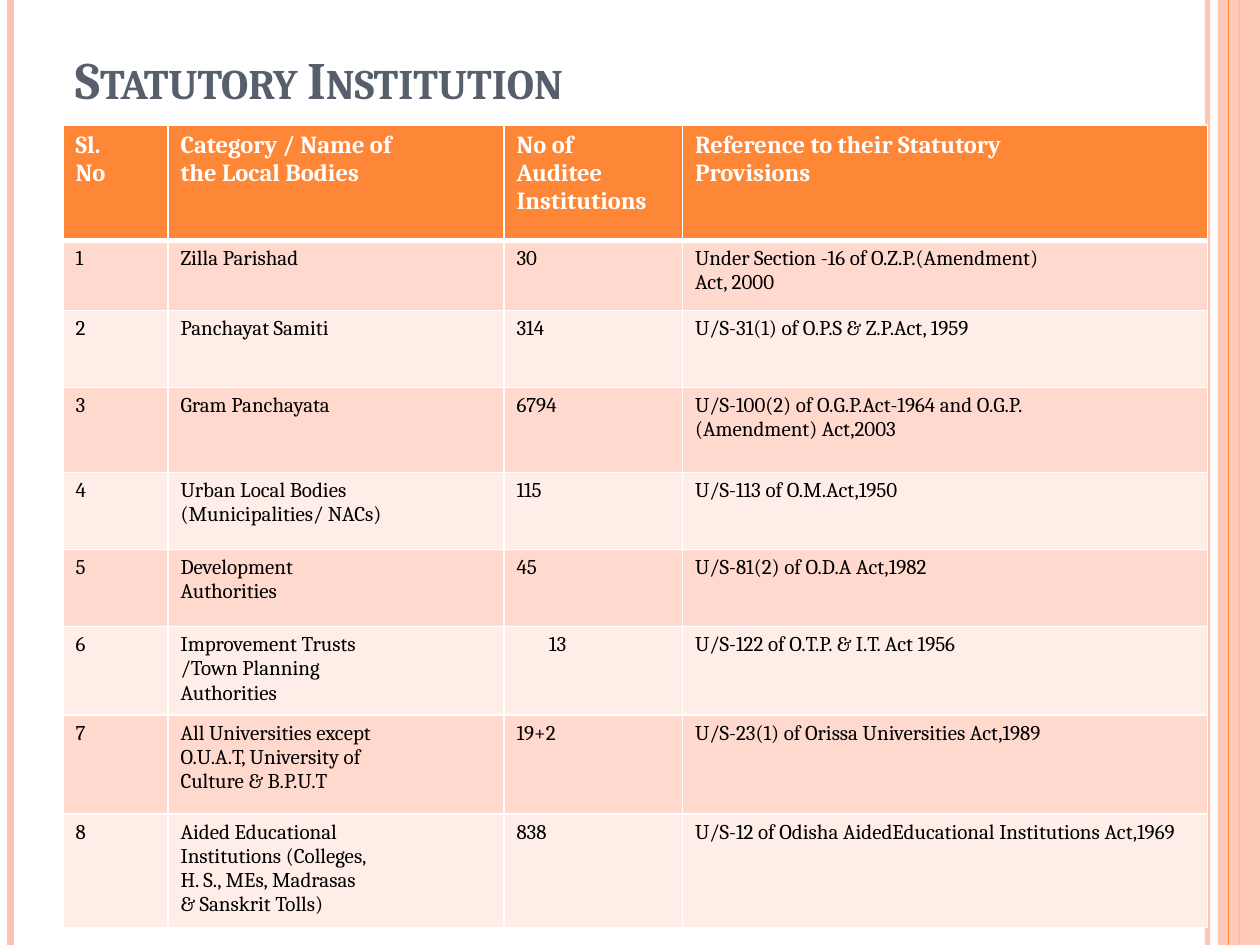
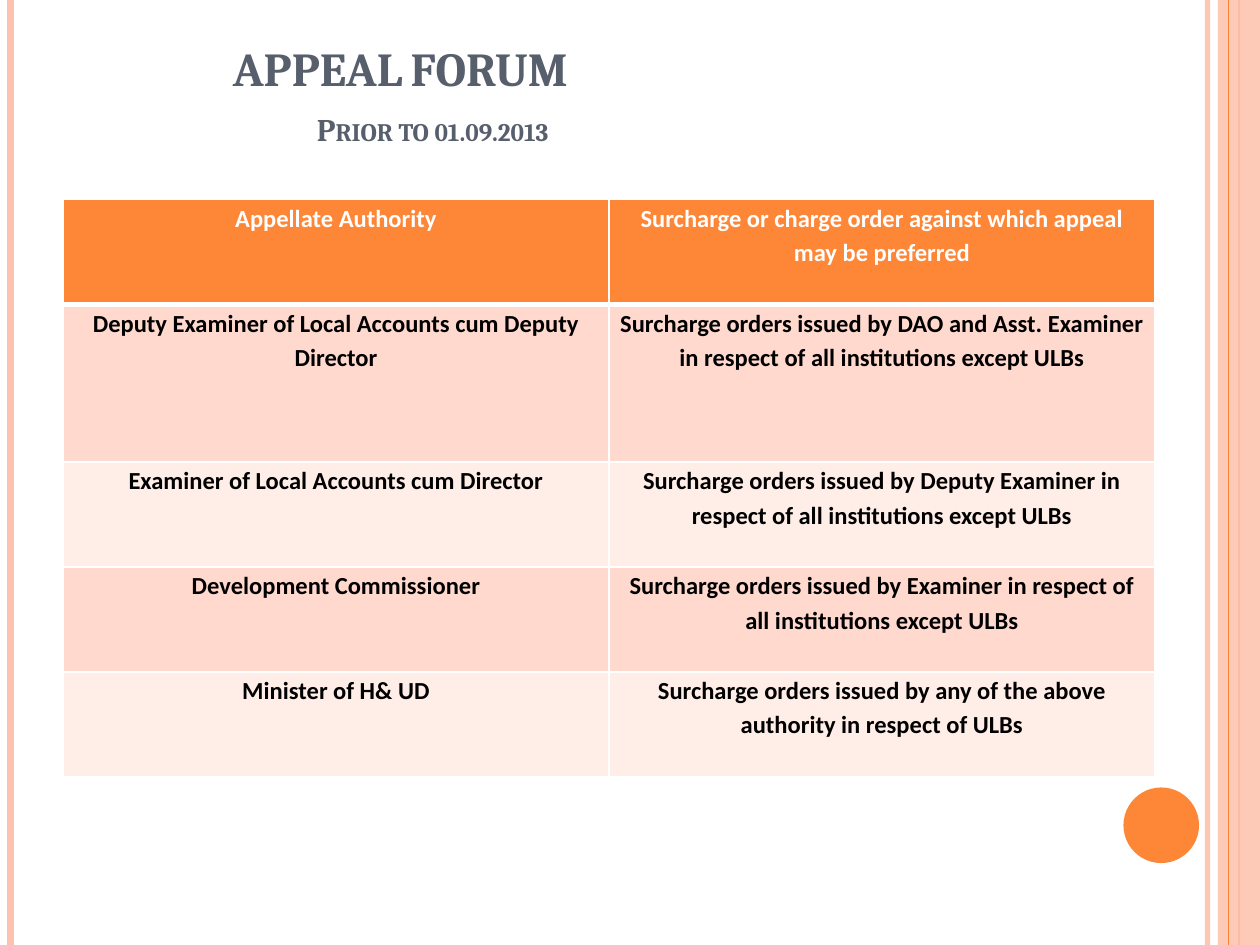
from dataclasses import dataclass

from lxml.etree import SubElement
from pptx import Presentation
from pptx.dml.color import RGBColor
from pptx.enum.shapes import MSO_CONNECTOR, MSO_SHAPE
from pptx.enum.text import MSO_ANCHOR, PP_ALIGN
from pptx.oxml import parse_xml
from pptx.oxml.ns import nsdecls, qn
from pptx.slide import Slide
from pptx.table import _Cell
from pptx.text.text import _Paragraph
from pptx.util import Pt

ORANGE = RGBColor(0xFE, 0x86, 0x37)
PEACH = RGBColor(0xFE, 0xC3, 0xAE)
BAND_DARK = RGBColor(0xFF, 0xD9, 0xCE)
BAND_LIGHT = RGBColor(0xFF, 0xED, 0xE8)
SLATE = RGBColor(0x57, 0x5F, 0x6D)
WHITE = RGBColor(0xFF, 0xFF, 0xFF)
BLACK = RGBColor(0x00, 0x00, 0x00)
SLIDE_WIDTH, SLIDE_HEIGHT = 720, 540
LEFT_MARGIN = 36
SERIF, SANS = "Cambria", "Calibri"


@dataclass(frozen=True)
class Rule:
    x: float
    width: float
    color: RGBColor
    opacity: int = 100


@dataclass(frozen=True)
class TitleLine:
    text: str
    size: float
    indent: float = 0
    space_before: float = 0


@dataclass(frozen=True)
class TableStyle:
    font: str
    header_size: float
    body_size: float
    body_bold: bool
    alignment: PP_ALIGN
    line_spacing: float
    side_inset: float
    top_inset: float


RULES_BEHIND_BAND = [
    Rule(690, 3, PEACH, 93),
    Rule(6, 4.5, PEACH),
    Rule(708, 1.5, ORANGE),
]
RULE_OVER_BAND = Rule(702, 0.75, ORANGE)

INSTITUTION_STYLE = TableStyle(SERIF, 14, 12, False, PP_ALIGN.LEFT, 1, 7.2, 3.6)
APPEAL_STYLE = TableStyle(SANS, 14, 14, True, PP_ALIGN.CENTER, 1.15, 5, 0)

INSTITUTION_COLUMNS = [60, 192, 102, 300]
INSTITUTION_HEIGHTS = [66, 40, 44, 48.6, 44, 44, 48.6, 56.8, 64]
INSTITUTION_ROWS = [
    ("Sl.\nNo", "Category / Name of\nthe Local Bodies", "No of\nAuditee\nInstitutions",
     "Reference to their Statutory\nProvisions"),
    ("1", "Zilla Parishad", "30", "Under Section -16 of O.Z.P.(Amendment)\nAct, 2000"),
    ("2", "Panchayat Samiti", "314", "U/S-31(1) of O.P.S & Z.P.Act, 1959"),
    ("3", "Gram Panchayata", "6794",
     "U/S-100(2) of O.G.P.Act-1964 and O.G.P.\n(Amendment) Act,2003"),
    ("4", "Urban Local Bodies\n(Municipalities/ NACs)", "115", "U/S-113 of O.M.Act,1950"),
    ("5", "Development\nAuthorities", "45", "U/S-81(2) of O.D.A Act,1982"),
    ("6", "Improvement Trusts\n/Town Planning\nAuthorities", "13",
     "U/S-122 of O.T.P. & I.T. Act 1956"),
    ("7", "All Universities except\nO.U.A.T, University of\nCulture & B.P.U.T", "19+2",
     "U/S-23(1) of Orissa Universities Act,1989"),
    ("8", "Aided Educational\nInstitutions (Colleges,\nH. S., MEs, Madrasas\n& Sanskrit Tolls)",
     "838", "U/S-12 of Odisha AidedEducational Institutions Act,1969"),
]

APPEAL_COLUMNS = [312, 312]
APPEAL_HEIGHTS = [60, 90, 60, 60, 60]
APPEAL_ROWS = [
    ("Appellate Authority", "Surcharge or charge order against which appeal may be preferred"),
    ("Deputy Examiner of Local Accounts cum Deputy Director",
     "Surcharge orders issued by DAO and Asst. Examiner in respect of all institutions except ULBs"),
    ("Examiner of Local Accounts cum Director",
     "Surcharge orders issued by Deputy Examiner in respect of all institutions except ULBs"),
    ("Development Commissioner",
     "Surcharge orders issued by Examiner in respect of all institutions except ULBs"),
    ("Minister of H& UD",
     "Surcharge orders issued by any of the above authority in respect of ULBs"),
]


def set_opacity(properties, percent: int) -> None:
    color = next(properties.iter(qn("a:srgbClr")))
    SubElement(color, qn("a:alpha"), val=str(percent * 1000))


def set_indent(paragraph: _Paragraph, indent: float) -> None:
    properties = paragraph._p.get_or_add_pPr()
    properties.set("marL", str(Pt(indent)))
    properties.set("indent", "0")


def add_run(paragraph: _Paragraph, text: str, font: str, size: float,
            color: RGBColor, bold: bool):
    run = paragraph.add_run()
    run.text = text
    run.font.name = font
    run.font.size = Pt(size)
    run.font.bold = bold
    run.font.color.rgb = color
    return run


def add_rule(slide: Slide, rule: Rule) -> None:
    connector = slide.shapes.add_connector(
        MSO_CONNECTOR.STRAIGHT, Pt(rule.x), Pt(0), Pt(rule.x), Pt(SLIDE_HEIGHT))
    connector.line.color.rgb = rule.color
    connector.line.width = Pt(rule.width)
    properties = connector._element.spPr
    if rule.opacity < 100:
        set_opacity(properties, rule.opacity)
    SubElement(properties, qn("a:effectLst"))


def add_filled_shape(slide: Slide, kind: MSO_SHAPE, left: float, top: float,
                     width: float, height: float, color: RGBColor):
    shape = slide.shapes.add_shape(kind, Pt(left), Pt(top), Pt(width), Pt(height))
    shape.shadow.inherit = False
    shape.fill.solid()
    shape.fill.fore_color.rgb = color
    shape.line.fill.background()
    return shape


def add_framed_slide(presentation) -> Slide:
    slide = presentation.slides.add_slide(presentation.slide_layouts[6])
    for rule in RULES_BEHIND_BAND:
        add_rule(slide, rule)
    band = add_filled_shape(slide, MSO_SHAPE.RECTANGLE, 696, 0, 24, SLIDE_HEIGHT, PEACH)
    set_opacity(band._element.spPr, 87)
    add_rule(slide, RULE_OVER_BAND)
    return slide


def add_title(slide: Slide, top: float, height: float, lines: list[TitleLine],
              bottom_inset: float = 3.6) -> None:
    box = slide.shapes.add_textbox(Pt(LEFT_MARGIN), Pt(top), Pt(588), Pt(height))
    frame = box.text_frame
    frame.word_wrap = True
    frame.vertical_anchor = MSO_ANCHOR.BOTTOM
    frame.margin_bottom = Pt(bottom_inset)
    for index, line in enumerate(lines):
        paragraph = frame.add_paragraph() if index else frame.paragraphs[0]
        paragraph.space_before = Pt(line.space_before)
        set_indent(paragraph, line.indent)
        run = add_run(paragraph, line.text, SERIF, line.size, SLATE, True)
        run._r.get_or_add_rPr().set("cap", "small")


def set_borders(cell: _Cell, top: float, bottom: float) -> None:
    widths = {"lnL": 1, "lnR": 1, "lnT": top, "lnB": bottom}
    properties = cell._tc.get_or_add_tcPr()
    for index, (side, width) in enumerate(widths.items()):
        properties.insert(index, parse_xml(
            f'<a:{side} {nsdecls("a")} w="{Pt(width)}"><a:solidFill>'
            f'<a:srgbClr val="{WHITE}"/></a:solidFill></a:{side}>'))


def fill_cell(cell: _Cell, text: str, row_index: int, style: TableStyle) -> None:
    is_header = row_index == 0
    cell.margin_left = cell.margin_right = Pt(style.side_inset)
    cell.margin_top = cell.margin_bottom = Pt(style.top_inset)
    cell.fill.solid()
    band = BAND_DARK if row_index % 2 else BAND_LIGHT
    cell.fill.fore_color.rgb = ORANGE if is_header else band
    set_borders(cell, 3 if row_index == 1 else 1, 3 if is_header else 1)
    for index, line in enumerate(text.split("\n")):
        frame = cell.text_frame
        paragraph = frame.add_paragraph() if index else frame.paragraphs[0]
        paragraph.alignment = style.alignment
        paragraph.line_spacing = style.line_spacing
        add_run(paragraph, line, style.font,
                style.header_size if is_header else style.body_size,
                WHITE if is_header else BLACK, is_header or style.body_bold)


def add_styled_table(slide: Slide, top: float, columns: list[float], heights: list[float],
                     rows: list[tuple[str, ...]], style: TableStyle):
    table = slide.shapes.add_table(
        len(rows), len(columns), Pt(LEFT_MARGIN), Pt(top),
        Pt(sum(columns)), Pt(sum(heights))).table
    for column, width in zip(table.columns, columns):
        column.width = Pt(width)
    for row_index, (row, height) in enumerate(zip(rows, heights)):
        table.rows[row_index].height = Pt(height)
        for column_index, text in enumerate(row):
            fill_cell(table.cell(row_index, column_index), text, row_index, style)
    return table


def build_institution_slide(presentation) -> None:
    slide = add_framed_slide(presentation)
    add_title(slide, 21.6, 44.64, [TitleLine("Statutory Institution", 30)])
    table = add_styled_table(slide, 71.5, INSTITUTION_COLUMNS, INSTITUTION_HEIGHTS,
                             INSTITUTION_ROWS, INSTITUTION_STYLE)
    set_indent(table.cell(6, 2).text_frame.paragraphs[0], 18.5)


def build_appeal_slide(presentation) -> None:
    slide = add_framed_slide(presentation)
    add_filled_shape(slide, MSO_SHAPE.OVAL, 642, 450, 43.2, 43.2, ORANGE)
    add_title(slide, 12.24, 99.36, [
        TitleLine("APPEAL FORUM", 27, 90),
        TitleLine("Prior to 01.09.2013", 18, 138, 7.7),
    ], bottom_inset=27.4)
    add_styled_table(slide, 114, APPEAL_COLUMNS, APPEAL_HEIGHTS, APPEAL_ROWS, APPEAL_STYLE)


def main() -> None:
    presentation = Presentation()
    presentation.slide_width = Pt(SLIDE_WIDTH)
    presentation.slide_height = Pt(SLIDE_HEIGHT)
    build_institution_slide(presentation)
    build_appeal_slide(presentation)
    presentation.save("out.pptx")


if __name__ == "__main__":
    main()
